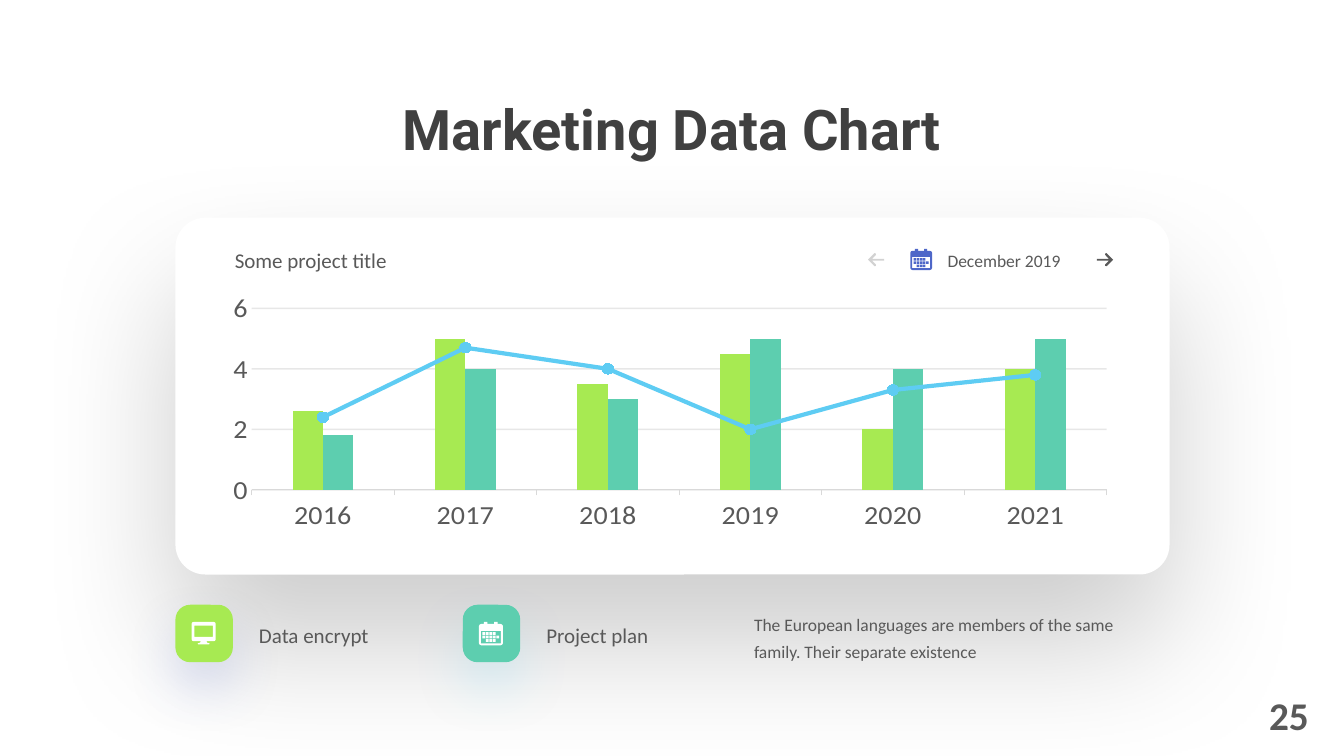
from lxml import etree
from pptx import Presentation
from pptx.chart.data import CategoryChartData
from pptx.dml.color import RGBColor
from pptx.enum.chart import XL_CHART_TYPE as CT, XL_MARKER_STYLE as MS, XL_TICK_MARK as TM
from pptx.enum.shapes import MSO_SHAPE as SH
from pptx.enum.text import MSO_ANCHOR as VA, MSO_AUTO_SIZE as FIT, PP_ALIGN as AL
from pptx.oxml import parse_xml
from pptx.oxml.ns import nsdecls, qn
from pptx.util import Inches, Pt

GREY, GREEN, TEAL, SKY, BLUE, WHITE = "595959", "A7EA52", "5DCEAF", "5ECCF3", "4E67C8", "FFFFFF"

# Icon contours, in thousandths of an inch
CALENDAR = [
    [(0, 40), (7, 26), (25, 20), (50, 20), (50, 0), (85, 0), (85, 20), (150, 20), (150, 0),
     (185, 0), (185, 20), (213, 20), (230, 26), (238, 40), (238, 212), (230, 226), (213, 232),
     (25, 232), (7, 226), (0, 212)],
    [(20, 88), (20, 212), (218, 212), (218, 88)],
] + [
    [(x, y), (x + 27, y), (x + 27, y + 27), (x, y + 27)]
    for row, columns in enumerate([range(4), range(5), range(1, 4)])
    for x, y in [(34 + 35 * col, 102 + 35 * row) for col in columns]
]
MONITOR = [
    [(0, 20), (6, 6), (20, 0), (220, 0), (234, 6), (240, 20), (240, 172), (234, 186), (220, 192),
     (148, 192), (154, 206), (172, 211), (180, 217), (172, 223), (68, 223), (60, 217),
     (68, 211), (86, 206), (92, 192), (20, 192), (6, 186), (0, 172)],
    [(28, 38), (28, 150), (212, 150), (212, 38)],
]
ARROW = [[(0, 58), (120, 58), (82, 20), (82, 6), (96, 2), (160, 67), (96, 132),
          (82, 128), (82, 114), (120, 76), (0, 76)]]


def rgb(value):
    return RGBColor.from_string(value)


def set_alpha(element, percent):
    for color in element.iter(qn("a:srgbClr")):
        etree.SubElement(color, qn("a:alpha")).set("val", str(percent * 1000))


def set_all(target, **values):
    for name, value in values.items():
        setattr(target, name, value)


class Deck:
    """Holds the presentation, its type style and the current slide."""

    font_name = "Calibri"

    def __init__(self):
        self.prs = Presentation()
        set_all(self.prs, slide_width=Inches(13.33), slide_height=Inches(7.5))
        self.s = self.prs.slides.add_slide(self.prs.slide_layouts[5])

    def fill_text(self, sp, text, size, color=GREY, bold=False, name=None, **para):
        tf = sp.text_frame
        set_all(tf, word_wrap=True, auto_size=FIT.NONE, vertical_anchor=VA.TOP)
        p = tf.paragraphs[0]
        set_all(p, **para)
        r = p.add_run()
        r.text = text
        set_all(r.font, size=Pt(size), bold=bold, name=name or self.font_name)
        r.font.color.rgb = rgb(color)

    def title(self, text, x, y, w, h):
        sp = self.s.shapes.title
        set_all(sp, left=Inches(x), top=Inches(y), width=Inches(w), height=Inches(h))
        self.fill_text(sp, text, 40, "404040", True, "Roboto", alignment=AL.CENTER, line_spacing=1.1)

    def text(self, text, x, y, w, h, size, **style):
        box = self.s.shapes.add_textbox(Inches(x), Inches(y), Inches(w), Inches(h))
        self.fill_text(box, text, size, **style)

    def panel(self, x, y, w, h, fill, corner, shadow, alpha, blur, dist):
        """Rounded rectangle with a soft shadow straight below it."""
        sp = self.s.shapes.add_shape(SH.ROUNDED_RECTANGLE, Inches(x), Inches(y), Inches(w), Inches(h))
        sp.adjustments[0] = corner
        sp.fill.solid()
        sp.fill.fore_color.rgb = rgb(fill)
        sp.line.fill.background()
        sp.shadow.inherit = False
        outer = parse_xml(
            f'<a:outerShdw {nsdecls("a")} blurRad="{Pt(blur)}" dist="{Pt(dist)}" dir="5400000" '
            f'algn="t" rotWithShape="0"><a:srgbClr val="{shadow}"/></a:outerShdw>')
        set_alpha(outer, alpha)
        sp._element.spPr.find(qn("a:effectLst")).append(outer)

    def icon(self, contours, x, y, fill, alpha=None):
        first, *others = contours
        builder = self.s.shapes.build_freeform(*first[0], scale=Inches(1) / 1000)
        builder.add_line_segments(first[1:])
        for contour in others:
            builder.move_to(*contour[0])
            builder.add_line_segments(contour[1:])
        sp = builder.convert_to_shape(Inches(x), Inches(y))
        sp.fill.solid()
        sp.fill.fore_color.rgb = rgb(fill)
        sp.line.fill.background()
        sp.shadow.inherit = False
        if alpha:
            set_alpha(sp._element.spPr, alpha)

    def chart(self, categories, series, x, y, w, h):
        """Clustered columns, with the last series drawn as a line."""
        data = CategoryChartData()
        data.categories = categories
        for name, values, _ in series:
            data.add_series(name, values)
        chart = self.s.shapes.add_chart(
            CT.COLUMN_CLUSTERED, Inches(x), Inches(y), Inches(w), Inches(h), data).chart
        set_all(chart, has_legend=False, has_title=False)
        set_all(chart.font, size=Pt(20), name=self.font_name)
        chart.font.color.rgb = rgb(GREY)

        cat, val = chart.category_axis, chart.value_axis
        set_all(cat, major_tick_mark=TM.OUTSIDE, minor_tick_mark=TM.NONE, has_major_gridlines=False)
        cat.format.line.width = Pt(0.75)
        cat.format.line.color.rgb = rgb("D9D9D9")
        set_all(val, major_tick_mark=TM.NONE, minor_tick_mark=TM.NONE, has_major_gridlines=True,
                minimum_scale=0, maximum_scale=6, major_unit=2)
        val.format.line.fill.background()
        grid = val.major_gridlines
        grid.format.line.width = Pt(1)
        grid.format.line.color.rgb = rgb("A6A6A6")
        set_alpha(val._element.find(qn("c:majorGridlines")), 25)

        columns = chart.plots[0]
        set_all(columns, gap_width=269, overlap=0, vary_by_categories=False)
        self.last_series_as_line(columns._element)
        for ser, (_, _, color) in zip(columns.series, series):
            ser.format.fill.solid()
            ser.format.fill.fore_color.rgb = rgb(color)
        line, color = chart.plots[1].series[0], rgb(series[-1][2])
        line.smooth = False
        line.format.line.width = Pt(3)
        line.format.line.color.rgb = color
        set_all(line.marker, style=MS.CIRCLE, size=8)
        line.marker.format.fill.solid()
        line.marker.format.fill.fore_color.rgb = color
        line.marker.format.line.color.rgb = color
        self.place_plot(chart, x=0.03, y=0.065, w=0.956, h=0.819)

    def last_series_as_line(self, bars):
        ser = bars.findall(qn("c:ser"))[-1]
        for flag in ser.findall(qn("c:invertIfNegative")):
            ser.remove(flag)
        line = parse_xml(f'<c:lineChart {nsdecls("c")}><c:grouping val="standard"/>'
                         '<c:varyColors val="0"/><c:marker val="1"/></c:lineChart>')
        line.insert(2, ser)
        for axis in bars.findall(qn("c:axId")):
            etree.SubElement(line, qn("c:axId")).set("val", axis.get("val"))
        bars.addnext(line)

    def place_plot(self, chart, **box):
        modes = '<c:layoutTarget val="inner"/><c:xMode val="edge"/><c:yMode val="edge"/>'
        sizes = "".join(f'<c:{key} val="{value}"/>' for key, value in box.items())
        area = chart._chartSpace.chart.plotArea
        for layout in area.findall(qn("c:layout")):
            area.remove(layout)
        area.insert(0, parse_xml(f'<c:layout {nsdecls("c")}><c:manualLayout>{modes}{sizes}'
                                 '</c:manualLayout></c:layout>'))


def main():
    deck = Deck()
    deck.text("25", 11.48, 6.81, 1.6, 0.57, 28, bold=True, alignment=AL.RIGHT)
    deck.panel(1.74, 2.16, 9.86, 3.54, WHITE, 0.084, "000000", 20, 100, 50)
    deck.chart(["2016", "2017", "2018", "2019", "2020", "2021"],
               [("Series 1", [2.6, 5, 3.5, 4.5, 2, 4], GREEN),
                ("Series 2", [1.8, 4, 3, 5, 4, 5], TEAL),
                ("Series 3", [2.4, 4.7, 4, 2, 3.3, 3.8], SKY)], 2.23, 2.9, 8.87, 2.37)
    deck.title("Marketing Data Chart", 1.61, 0.82, 10.11, 0.8)
    deck.text("Some project title", 2.23, 2.41, 2.65, 0.35, 15)

    deck.text("December 2019", 9.3, 2.43, 1.74, 0.31, 12.5)
    small_calendar = [[(x * 0.9, y * 0.9) for x, y in contour] for contour in CALENDAR]
    left_arrow = [[(160 - x, y) for x, y in contour] for contour in ARROW]
    deck.icon(small_calendar, 9.03, 2.47, BLUE)
    deck.icon(ARROW, 10.88, 2.51, GREY)
    deck.icon(left_arrow, 8.61, 2.51, "A6A6A6", 50)

    for x, label, fill, shadow, icon in [(1.74, "Data encrypt", GREEN, BLUE, MONITOR),
                                         (4.59, "Project plan", TEAL, SKY, CALENDAR)]:
        deck.panel(x, 6, 0.57, 0.57, fill, 0.258, shadow, 20, 38, 18)
        deck.icon(icon, x + 0.16, 6.17, WHITE)
        deck.text(label, x + 0.73, 6.13, 1.88, 0.35, 15)
    deck.text("The European languages are members of the same family. Their separate existence",
              7.38, 5.98, 4.15, 0.63, 12.5, line_spacing=1.3, space_after=Pt(7.5))
    deck.prs.save("out.pptx")


if __name__ == "__main__":
    main()
